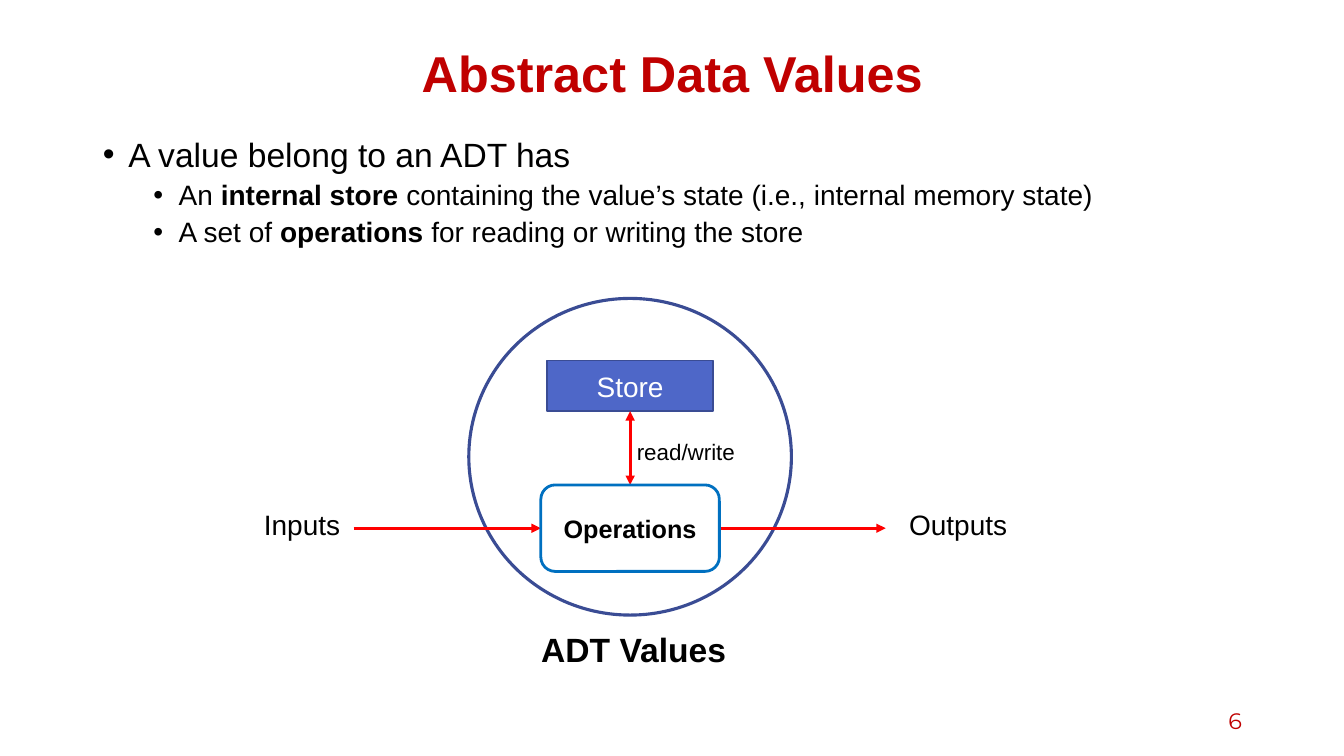
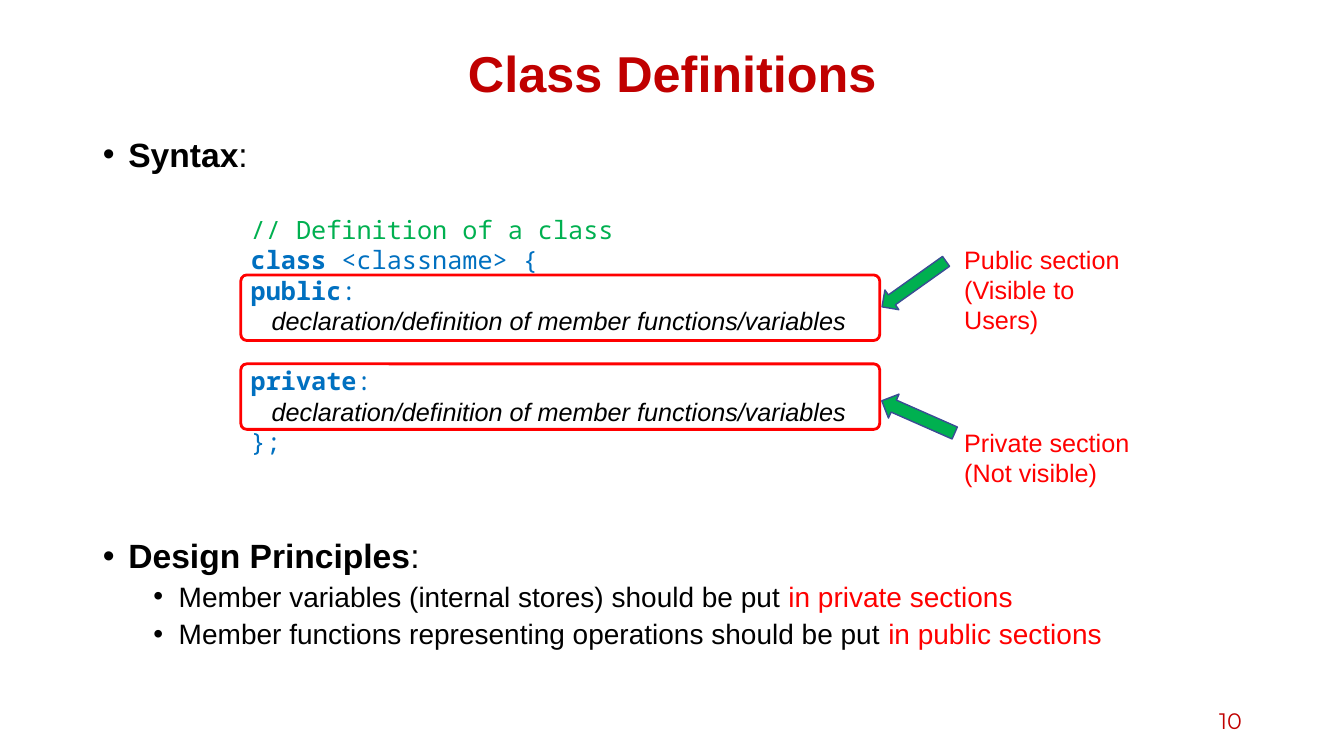
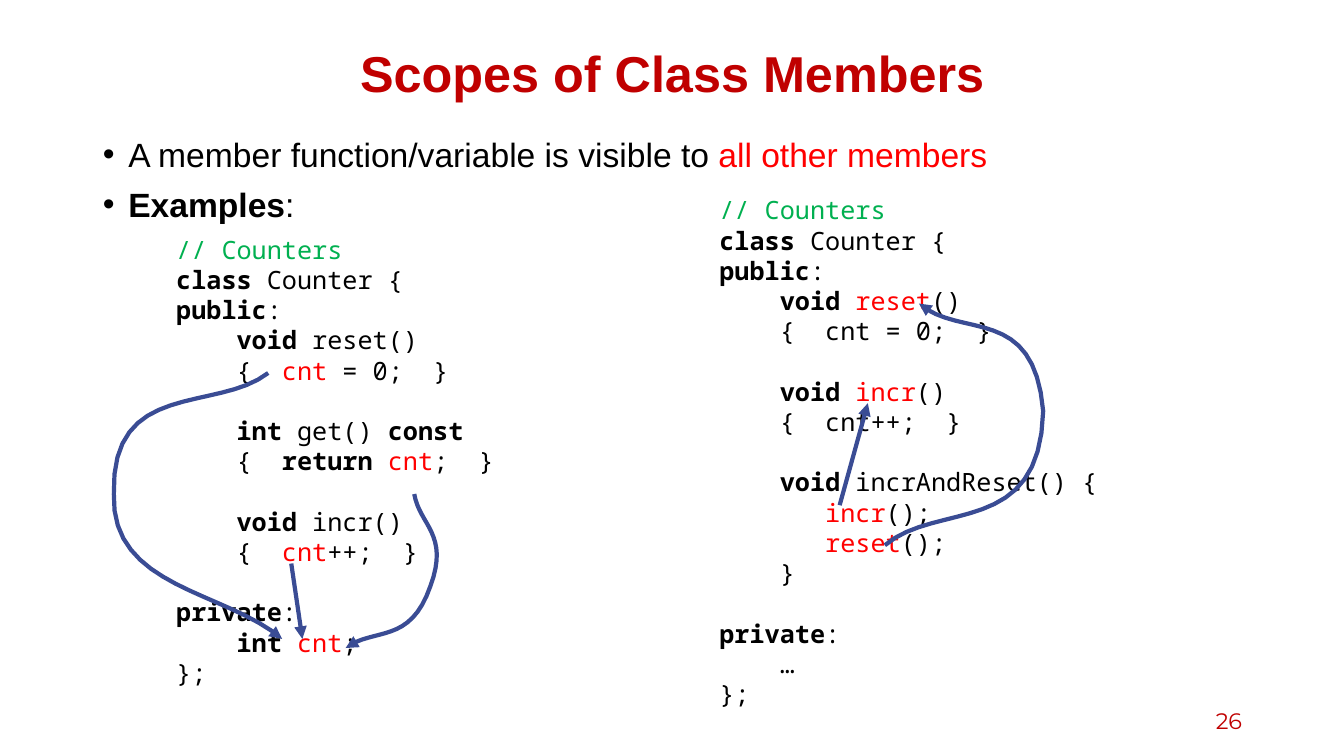
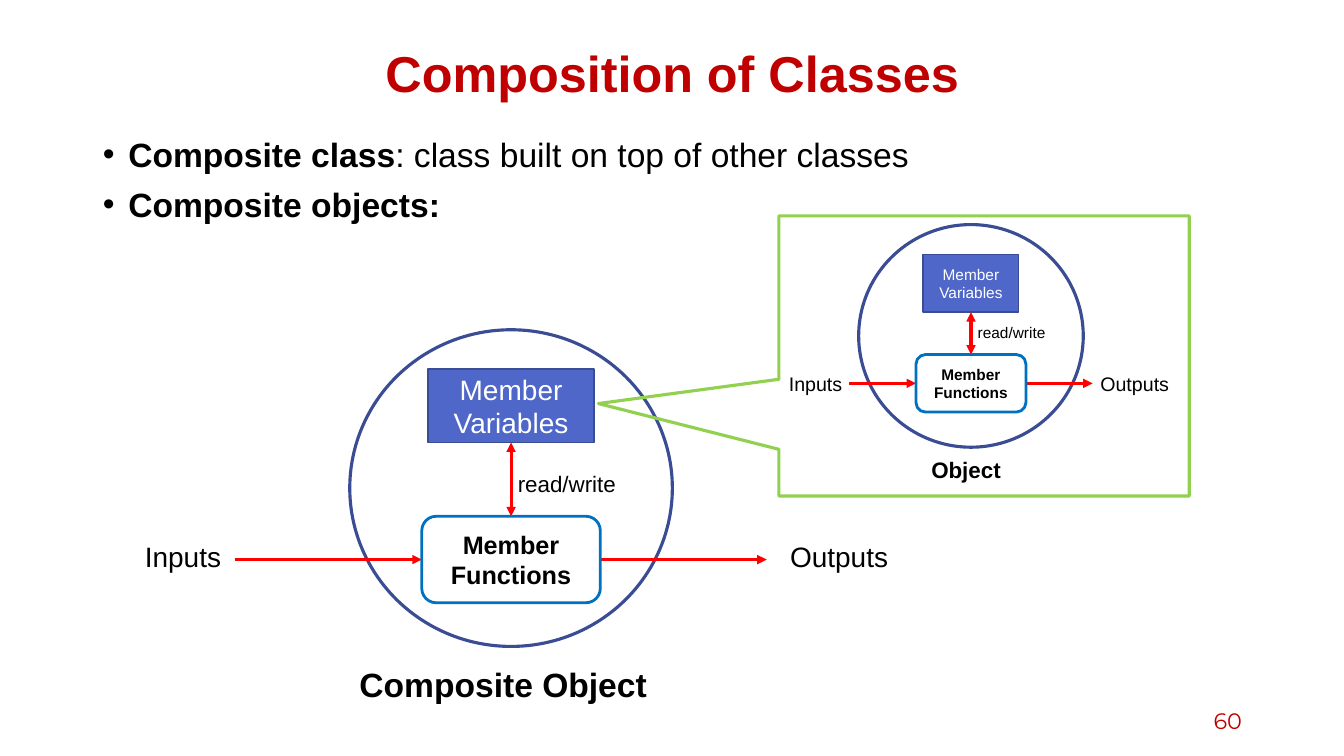
from collections import namedtuple

from lxml.etree import SubElement
from pptx import Presentation
from pptx.dml.color import RGBColor
from pptx.enum.shapes import MSO_CONNECTOR, MSO_SHAPE
from pptx.enum.text import MSO_ANCHOR, MSO_AUTO_SIZE, PP_ALIGN
from pptx.oxml.ns import qn
from pptx.util import Cm, Pt

# Colours
BLACK = RGBColor(0x00, 0x00, 0x00)
WHITE = RGBColor(0xFF, 0xFF, 0xFF)
CRIMSON = RGBColor(0xC0, 0x00, 0x00)
RED = RGBColor(0xFF, 0x00, 0x00)
GREEN = RGBColor(0x00, 0xB0, 0x50)
LIME = RGBColor(0x92, 0xD0, 0x50)
BLUE = RGBColor(0x00, 0x70, 0xC0)
INDIGO = RGBColor(0x4E, 0x67, 0xC8)
NAVY = RGBColor(0x3A, 0x4C, 0x94)

# Fonts
SANS, MONO, DIGIT = "Arial", "Noto Sans Mono", "Montserrat"
CODE_GAP = 21.6  # points: one line of code

# A piece of text with its own look; None keeps the look of its box
Run = namedtuple("Run", "text color bold italic font",
                 defaults=(None, None, None, None))

# Measures of an object diagram: lengths in cm, text sizes in points
Plan = namedtuple("Plan", "ring rise store gap ops lead trail left right "
                          "lift label_pt store_pt ops_pt note_pt cap_pt")
LARGE = Plan((8.13, 7.98), 5.79, 4.19, 1.86, (4.5, 2.18), 4.72, 4.19,
             9.48, 6.78, 0.64, 20, 20, 18, 16, 24)
SMALL = Plan((5.66, 5.61), 4, 2.41, 1.07, (2.77, 1.45), 1.68, 1.68,
             4.84, 3.01, 0.41, 14, 11, 11, 11, 16)


def bold(text, color=None):
    return Run(text, color, True)


def red(text):
    return Run(text, RED)


def curve(start, *parts, steps=16):
    """Points along a chain of cubic curves."""
    points = [start]
    for a, b, end in parts:
        first = points[-1]
        for i in range(1, steps + 1):
            t = i / steps
            u = 1 - t
            points.append(tuple(
                u**3 * p + 3 * u * u * t * q + 3 * u * t * t * r + t**3 * s
                for p, q, r, s in zip(first, a, b, end)))
    return points


class Deck:
    def __init__(self):
        self.show = Presentation()
        self.show.slide_width, self.show.slide_height = Cm(33.87), Cm(19.05)
        self.slide = None

    # Text
    def fill_line(self, para, runs, size, color=BLACK, font=SANS, strong=False):
        for item in [runs] if isinstance(runs, (str, Run)) else runs:
            item = Run(item) if isinstance(item, str) else item
            run = para.add_run()
            run.text = item.text
            face = run.font
            face.name, face.size = item.font or font, Pt(size)
            face.bold = strong if item.bold is None else item.bold
            face.italic = bool(item.italic)
            face.color.rgb = item.color or color

    def text(self, x, y, w, h, lines, size, align=PP_ALIGN.LEFT,
             anchor=MSO_ANCHOR.TOP, **look):
        box = self.slide.shapes.add_textbox(Cm(x), Cm(y), Cm(w), Cm(h))
        self.put(box.text_frame, lines, size, align, anchor, **look)

    def put(self, frame, lines, size, align, anchor, **look):
        """Set lines of text; None opens a gap above the next one."""
        frame.word_wrap = True
        frame.vertical_anchor = anchor
        gap, para = 0, None
        for runs in [lines] if isinstance(lines, str) else lines:
            if runs is None:
                gap = CODE_GAP
                continue
            para = frame.paragraphs[0] if para is None else frame.add_paragraph()
            para.alignment, para.space_before = align, Pt(gap)
            self.fill_line(para, runs, size, **look)
            gap = 0

    def code(self, x, y, w, h, lines, color=BLACK):
        self.text(x, y, w, h, lines, 18, color=color, font=MONO)

    # Slide with title, page number and bullets of (level, runs[, space])
    def page(self, title, number, items):
        self.slide = self.show.slides.add_slide(self.show.slide_layouts[1])
        head, body = self.slide.placeholders
        self.place(head, 2.34, 1.02, 29.21, 1.78)
        self.put(head.text_frame, title, 36, PP_ALIGN.CENTER,
                 MSO_ANCHOR.MIDDLE, color=CRIMSON, strong=True)
        head.text_frame.paragraphs[0].line_spacing = 0.9

        self.place(body, 2.34, 3.35, 29.21, 14)
        frame = body.text_frame
        for i, (level, runs, *space) in enumerate(items):
            para = frame.add_paragraph() if i else frame.paragraphs[0]
            self.bullet(para, level)
            para.line_spacing = 0.9
            gap = space[0] if space else (10, 5)[level]
            para.space_before = Pt(gap if i else 0)
            self.fill_line(para, runs, (24, 20)[level])

        self.text(23.93, 17.65, 7.62, 1.02, str(number), 16, PP_ALIGN.RIGHT,
                  MSO_ANCHOR.MIDDLE, color=CRIMSON, font=DIGIT)

    def place(self, holder, x, y, w, h):
        holder.left, holder.top = Cm(x), Cm(y)
        holder.width, holder.height = Cm(w), Cm(h)
        holder.text_frame.auto_size = MSO_AUTO_SIZE.NONE

    def bullet(self, para, level):
        para.level = level
        props = para._p.get_or_add_pPr()
        props.set("marL", str(Cm(0.64 + 1.27 * level)))
        props.set("indent", str(Cm(-0.64)))
        SubElement(props, qn("a:buFont")).set("typeface", SANS)
        SubElement(props, qn("a:buChar")).set("char", "•")

    # Shapes
    def paint(self, shape, fill, line, width):
        shape.shadow.inherit = False
        if fill is None:
            shape.fill.background()
        else:
            shape.fill.solid()
            shape.fill.fore_color.rgb = fill
        shape.line.color.rgb, shape.line.width = line, Pt(width)

    def shape(self, kind, x, y, w, h, line, width, fill=None, adjust=(), turn=0):
        shape = self.slide.shapes.add_shape(kind, Cm(x), Cm(y), Cm(w), Cm(h))
        self.paint(shape, fill, line, width)
        shape.rotation = turn
        for i, value in enumerate(adjust):
            shape.adjustments[i] = value
        return shape

    def label(self, shape, text, size, **look):
        self.put(shape.text_frame, text, size, PP_ALIGN.CENTER,
                 MSO_ANCHOR.MIDDLE, **look)

    # Arrows
    def tips(self, shape, both=False):
        line = shape.element.spPr.find(qn("a:ln"))
        for end in ("a:headEnd", "a:tailEnd") if both else ("a:tailEnd",):
            SubElement(line, qn(end)).set("type", "triangle")

    def arrow(self, start, end, color=RED, width=2.25, both=False):
        link = self.slide.shapes.add_connector(
            MSO_CONNECTOR.STRAIGHT, *(Cm(v) for v in (*start, *end)))
        link.line.color.rgb, link.line.width = color, Pt(width)
        self.tips(link, both)
        SubElement(link.element.spPr, qn("a:effectLst"))

    def swoop(self, start, *parts):
        first, *rest = [(Cm(x), Cm(y)) for x, y in curve(start, *parts)]
        pen = self.slide.shapes.build_freeform(*first)
        pen.add_line_segments(rest, close=False)
        shape = pen.convert_to_shape()
        self.paint(shape, None, NAVY, 3)
        self.tips(shape)

    # Object diagram around the centre (cx, cy) of its operations box
    def model(self, plan, cx, cy, store, high, ops, caption, cap_x, cap_y):
        w, h = plan.ops
        top = cy - h / 2
        base = top - plan.gap
        box = self.shape(MSO_SHAPE.RECTANGLE, cx - plan.store / 2, base - high,
                         plan.store, high, NAVY, 1, INDIGO)
        self.label(box, store, plan.store_pt, color=WHITE)
        self.shape(MSO_SHAPE.OVAL, cx - plan.ring[0] / 2, cy - plan.rise,
                   *plan.ring, NAVY, 2.25)
        left, right = cx - w / 2, cx + w / 2
        self.arrow((left - plan.lead, cy), (left, cy))
        self.arrow((right, cy), (right + plan.trail, cy))
        self.arrow((cx, base), (cx, top), both=True)
        box = self.shape(MSO_SHAPE.ROUNDED_RECTANGLE, left, top, w, h, BLUE, 2)
        self.label(box, ops, plan.ops_pt, strong=True)
        for x, word in ((cx - plan.left, "Inputs"), (cx + plan.right, "Outputs")):
            self.text(x, cy - plan.lift, 3.35, 1.12, word, plan.label_pt)
        self.text(cx - 0.08, base + plan.gap / 2 - 0.37, 4.14, 0.94,
                  "read/write", plan.note_pt)
        self.text(cap_x, cap_y, 8.13, 1.27, caption, plan.cap_pt, strong=True)


def values(deck):
    deck.page("Abstract Data Values", 6, [
        (0, "A value belong to an ADT has"),
        (1, ["An", bold(" internal store "),
             "containing the value’s state (i.e., internal memory state)"]),
        (1, ["A set of ", bold("operations "),
             "for reading or writing the store"]),
    ])
    deck.model(LARGE, 15.88, 13.31, "Store", 1.27, "Operations",
               "ADT Values", 13.39, 15.72)


def syntax(deck):
    deck.page("Class Definitions", 10, [
        (0, [bold("Syntax"), ":"]),
        (0, [bold("Design Principles"), ":"], 261),
        (1, ["Member variables (internal stores) should be put ",
             red("in private sections")]),
        (1, ["Member functions representing operations should be put ",
             red("in public sections")]),
    ])
    member = Run("   declaration/definition of member functions/variables",
                 BLACK, False, True, SANS)
    deck.code(6.07, 5.28, 16.94, 6.4, [
        Run("// Definition of a class", GREEN),
        [bold("class "), "<classname> {"],
        [bold("public"), ":"],
        member,
        None,
        [bold("private"), ":"],
        member,
        "};",
    ], BLUE)
    for y in (6.93, 9.17):
        deck.shape(MSO_SHAPE.ROUNDED_RECTANGLE, 6.07, y, 16.1, 1.65, RED, 2,
                   adjust=[0.09])
    for x, y, w, h, turn in ((22.73, 6.17, 0.61, 1.98, 54.6),
                             (22.81, 9.5, 0.66, 2.01, 113.8)):
        deck.shape(MSO_SHAPE.DOWN_ARROW, x, y, w, h, NAVY, 1, GREEN, turn=turn)
    for y, lines in ((6.02, ["Public section", "(Visible to Users)"]),
                     (10.64, ["Private section", "(Not visible)"])):
        deck.text(24.05, y, 5.13, 1.8, lines, 18, color=RED)


def scopes(deck):
    deck.page("Scopes of Class Members", 26, [
        (0, ["A member function/variable is visible to ",
             red("all other members")]),
        (0, [bold("Examples"), ":"]),
    ])
    opening = [
        Run("// Counters", GREEN),
        [bold("class"), " Counter {"],
        [bold("public"), ":"],
    ]
    private = [bold("private"), ":"]
    deck.code(4.19, 5.77, 10.44, 11.79, opening + [
        ["    ", bold("void"), " reset()"],
        ["    {  ", red("cnt"), " = 0;  }"],
        None,
        [bold("    int"), " get() ", bold("const")],
        ["    {  ", bold("return "), red("cnt"), ";  }"],
        None,
        ["    ", bold("void"), " incr()"],
        ["    {  ", red("cnt"), "++;  }"],
        None,
        private,
        ["    ", bold("int "), red("cnt"), ";"],
        "};",
    ])
    deck.code(17.88, 4.78, 10.44, 13.34, opening + [
        ["    ", bold("void "), red("reset"), "()"],
        "    {  cnt = 0;  }",
        None,
        ["    ", bold("void "), red("incr"), "()"],
        "    {  cnt++;  }",
        None,
        ["    ", bold("void "), "incrAndReset() {"],
        ["       ", red("incr"), "();"],
        ["       ", red("reset"), "();"],
        "    }",
        None,
        private,
        "    …",
        "};",
    ])
    # From each use to its declaration
    deck.swoop((6.76, 9.4),
               ((5.46, 10.41), (2.79, 9.55), (2.87, 12.45)),
               ((2.79, 14.83), (5.69, 14.88), (7.11, 16.1)))
    deck.swoop((10.44, 12.45),
               ((10.57, 13.23), (11.33, 13.46), (10.85, 14.76)),
               ((10.34, 16.26), (9.42, 15.8), (8.71, 16.33)))
    deck.swoop((22.3, 13.74),
               ((23.62, 12.62), (26.21, 13.56), (26.29, 10.36)),
               ((26.06, 7.65), (24.21, 8.56), (23.16, 7.65)))
    deck.arrow((7.34, 14.2), (7.62, 16.1), NAVY, 3)
    deck.arrow((21.16, 12.73), (21.87, 10.16), NAVY, 3)


def compose(deck):
    deck.page("Composition of Classes", 60, [
        (0, [bold("Composite class"), ": class built on top of other classes"]),
        (0, bold("Composite objects:")),
    ])
    names = "Member Variables", "Member Functions"
    deck.model(LARGE, 12.88, 14.1, names[0], 1.85, names[1],
               "Composite Object", 8.81, 16.61)
    deck.model(SMALL, 24.47, 9.66, names[0], 1.45, names[1],
               "Object", 23.22, 11.38)
    deck.shape(MSO_SHAPE.RECTANGULAR_CALLOUT, 19.63, 5.44, 10.34, 7.06,
               LIME, 2.25, adjust=[-0.94, 0.17])


def main():
    deck = Deck()
    for build in (values, syntax, scopes, compose):
        build(deck)
    deck.show.save("out.pptx")


if __name__ == "__main__":
    main()
